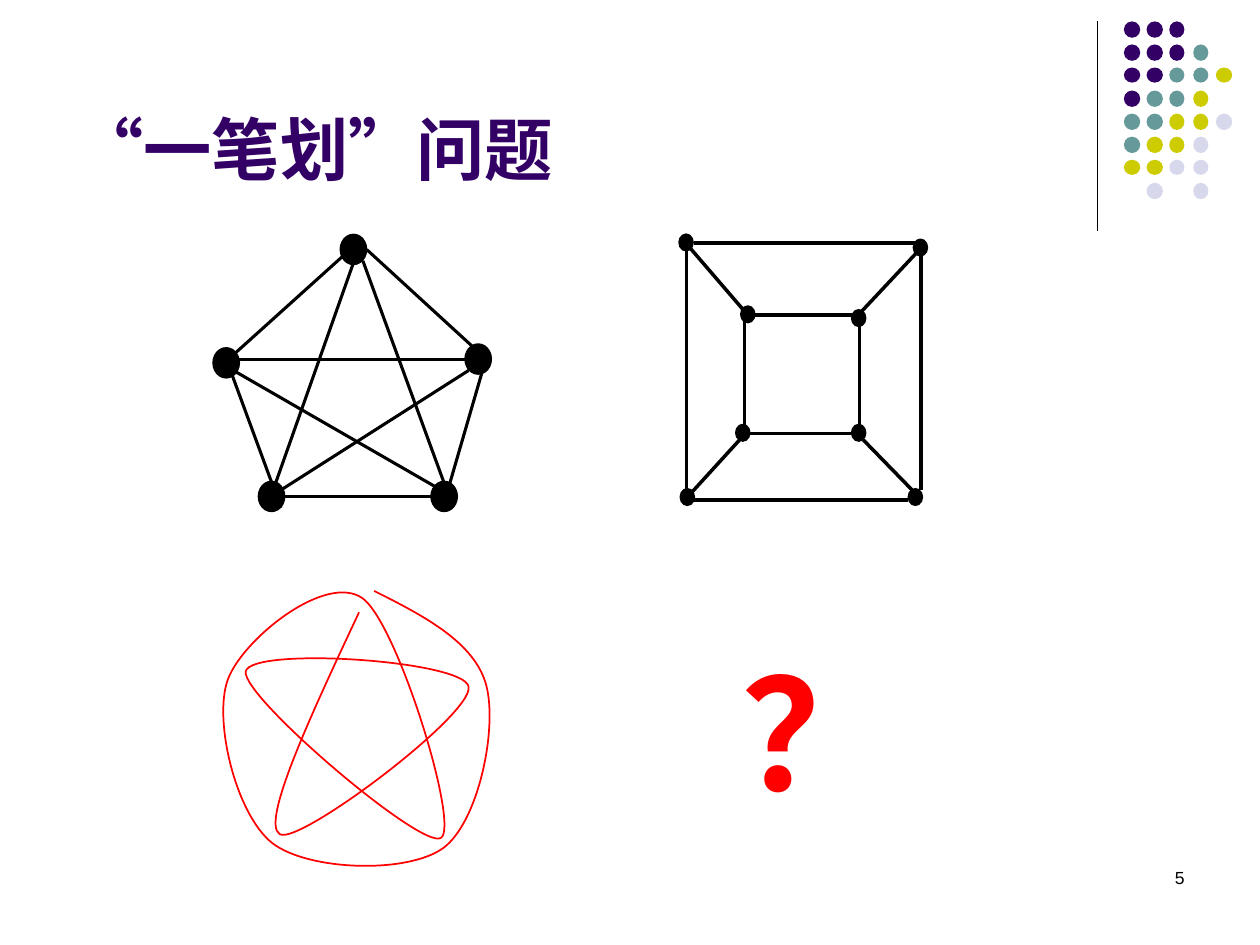
from lxml.etree import SubElement
from pptx import Presentation
from pptx.dml.color import RGBColor
from pptx.enum.lang import MSO_LANGUAGE_ID
from pptx.enum.shapes import MSO_CONNECTOR, MSO_SHAPE
from pptx.enum.text import MSO_ANCHOR, PP_ALIGN
from pptx.oxml.ns import qn
from pptx.util import Inches, Pt


def color(hex_string):
    return RGBColor.from_string(hex_string)


presentation = Presentation()
presentation.slide_width = Inches(10)
presentation.slide_height = Inches(7.5)
slide = presentation.slides.add_slide(presentation.slide_layouts[6])

# One-stroke drawing: each Bezier segment has two controls and an end
stroke_start = (2.85, 4.86)
stroke_segments = [
    ((2.46, 5.69), (2.07, 6.53), (2.22, 6.62)),
    ((2.36, 6.72), (3.76, 5.67), (3.72, 5.45)),
    ((3.68, 5.24), (1.99, 5.13), (1.95, 5.33)),
    ((1.92, 5.53), (3.35, 6.75), (3.5, 6.65)),
    ((3.65, 6.56), (3.16, 4.96), (2.88, 4.75)),
    ((2.59, 4.54), (1.93, 5.07), (1.81, 5.39)),
    ((1.69, 5.71), (1.87, 6.46), (2.16, 6.69)),
    ((2.44, 6.91), (3.23, 6.94), (3.52, 6.73)),
    ((3.8, 6.52), (3.95, 5.78), (3.86, 5.44)),
    ((3.77, 5.1), (3.37, 4.89), (2.97, 4.69)),
]
builder = slide.shapes.build_freeform(*[Inches(value) for value in stroke_start])
builder.add_line_segments(
    [(Inches(x), Inches(y)) for segment in stroke_segments for x, y in segment],
    close=False)
stroke = builder.convert_to_shape()
stroke.shadow.inherit = False
stroke.fill.background()
stroke.line.color.rgb = color("FF0000")
stroke.line.width = Pt(1)

# Turn every three line segments into one cubic curve
outline = stroke._element.spPr.find(".//" + qn("a:path"))
line_segments = outline.findall(qn("a:lnTo"))
for index in range(0, len(line_segments), 3):
    curve = SubElement(outline, qn("a:cubicBezTo"))
    for line_segment in line_segments[index:index + 3]:
        curve.append(line_segment[0])
        outline.remove(line_segment)

# Decorative dots in the corner: one letter per colour
dot_colors = {"P": "330066", "T": "669999", "Y": "CCCC00", "L": "D8D8EC"}
dot_rows = ["PPP", "PPPT", "PPTTY", "PTTY", "TTYYL", "TYYL", "YYLL", " L L"]
dot_columns = [(8.92, 0.13), (9.1, 0.13), (9.28, 0.12), (9.47, 0.12), (9.65, 0.13)]
dots = [
    (left, 0.17 + 0.183 * row, width, 0.12 if row in (2, 6) else 0.13,
     MSO_SHAPE.OVAL, dot_colors[letter], None)
    for row, letters in enumerate(dot_rows)
    for (left, width), letter in zip(dot_columns, letters) if letter != " "
]

# Vertices of the pentagon graph and of the nested squares
pentagon_vertices = [(3.69, 2.73), (2.7, 1.86), (1.69, 2.76), (2.05, 3.82), (3.42, 3.82)]
square_vertices = [(5.39, 1.86), (5.4, 3.88), (7.21, 3.88), (7.25, 1.9),
                   (5.88, 2.43), (6.76, 2.46), (5.84, 3.37), (6.76, 3.37)]
dots += [(left, top, 0.21, 0.24, MSO_SHAPE.FLOWCHART_CONNECTOR, "000000", 0.75)
         for left, top in pentagon_vertices]
dots += [(left, top, 0.11, 0.13, MSO_SHAPE.OVAL, "000000", 1)
         for left, top in square_vertices]

for left, top, width, height, kind, fill, line_width in dots:
    shape = slide.shapes.add_shape(
        kind, Inches(left), Inches(top), Inches(width), Inches(height))
    shape.shadow.inherit = False
    shape.fill.solid()
    shape.fill.fore_color.rgb = color(fill)
    if line_width:
        shape.line.color.rgb = color(fill)
        shape.line.width = Pt(line_width)
    else:
        shape.line.fill.background()

# Edges, grouped by line width
divider = [(8.71, 0.17, 8.71, 1.83)]
pentagon_edges = [
    (2.15, 3.94, 3.72, 2.94), (2.26, 3.94, 3.42, 3.94), (1.87, 2.8, 2.88, 1.89),
    (2.91, 1.98, 3.75, 2.75), (3.54, 3.94, 3.83, 2.94), (1.84, 2.97, 2.23, 4.03),
    (1.88, 2.85, 3.9, 2.85), (2.15, 3.94, 2.8, 2.1), (2.88, 2.07, 3.52, 3.82),
    (1.87, 2.95, 3.45, 3.86),
]
square_edges = [
    (5.51, 1.93, 7.29, 1.93), (5.49, 3.97, 7.21, 3.97), (5.45, 1.98, 5.45, 3.91),
    (7.31, 2.01, 7.31, 3.89), (5.99, 2.5, 6.77, 2.5), (5.95, 3.44, 6.76, 3.44),
    (5.91, 2.54, 5.91, 3.38), (6.82, 2.56, 6.82, 3.4), (5.47, 1.96, 5.9, 2.46),
    (5.88, 3.48, 5.47, 3.93), (6.84, 2.47, 7.29, 1.99), (6.85, 3.49, 7.24, 3.89),
]
for line_width, edges in [(0.75, divider), (1.75, pentagon_edges), (2, square_edges)]:
    for edge in edges:
        connector = slide.shapes.add_connector(
            MSO_CONNECTOR.STRAIGHT, *[Inches(value) for value in edge])
        connector.line.color.rgb = color("000000")
        connector.line.width = Pt(line_width)
        SubElement(connector._element.spPr, qn("a:effectLst"))

# Title, question mark and page number
texts = [
    ("“一笔划”问题", (0.5, 0.13, 8.25, 1.42), 39, "Arial", "330066", True,
     MSO_ANCHOR.BOTTOM, PP_ALIGN.LEFT),
    ("？", (5.79, 5.01, 1.58, 1.57), 88, "Times New Roman", "FF0000", True,
     MSO_ANCHOR.TOP, PP_ALIGN.LEFT),
    ("5", (7.17, 6.83, 2.33, 0.5), 10, "Arial", "000000", False,
     MSO_ANCHOR.TOP, PP_ALIGN.RIGHT),
]
for text, box, size, font_name, text_color, bold, anchor, alignment in texts:
    text_box = slide.shapes.add_textbox(*[Inches(value) for value in box])
    text_frame = text_box.text_frame
    text_frame.word_wrap = True
    text_frame.vertical_anchor = anchor
    paragraph = text_frame.paragraphs[0]
    paragraph.alignment = alignment
    run = paragraph.add_run()
    run.text = text
    run.font.language_id = MSO_LANGUAGE_ID.SIMPLIFIED_CHINESE
    paragraph.font.name = font_name
    paragraph.font.size = Pt(size)
    paragraph.font.bold = bold
    paragraph.font.color.rgb = color(text_color)

presentation.save("out.pptx")
